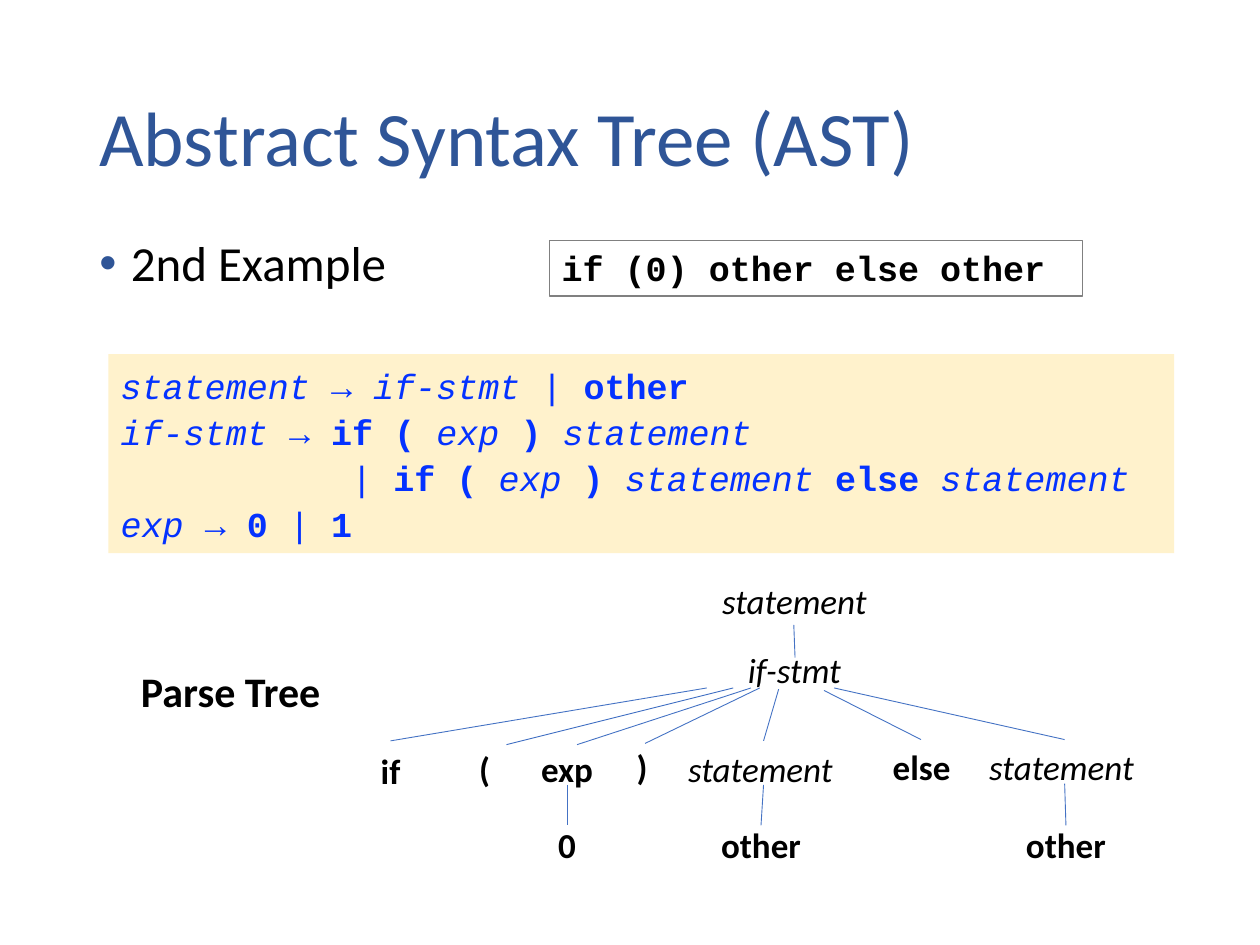
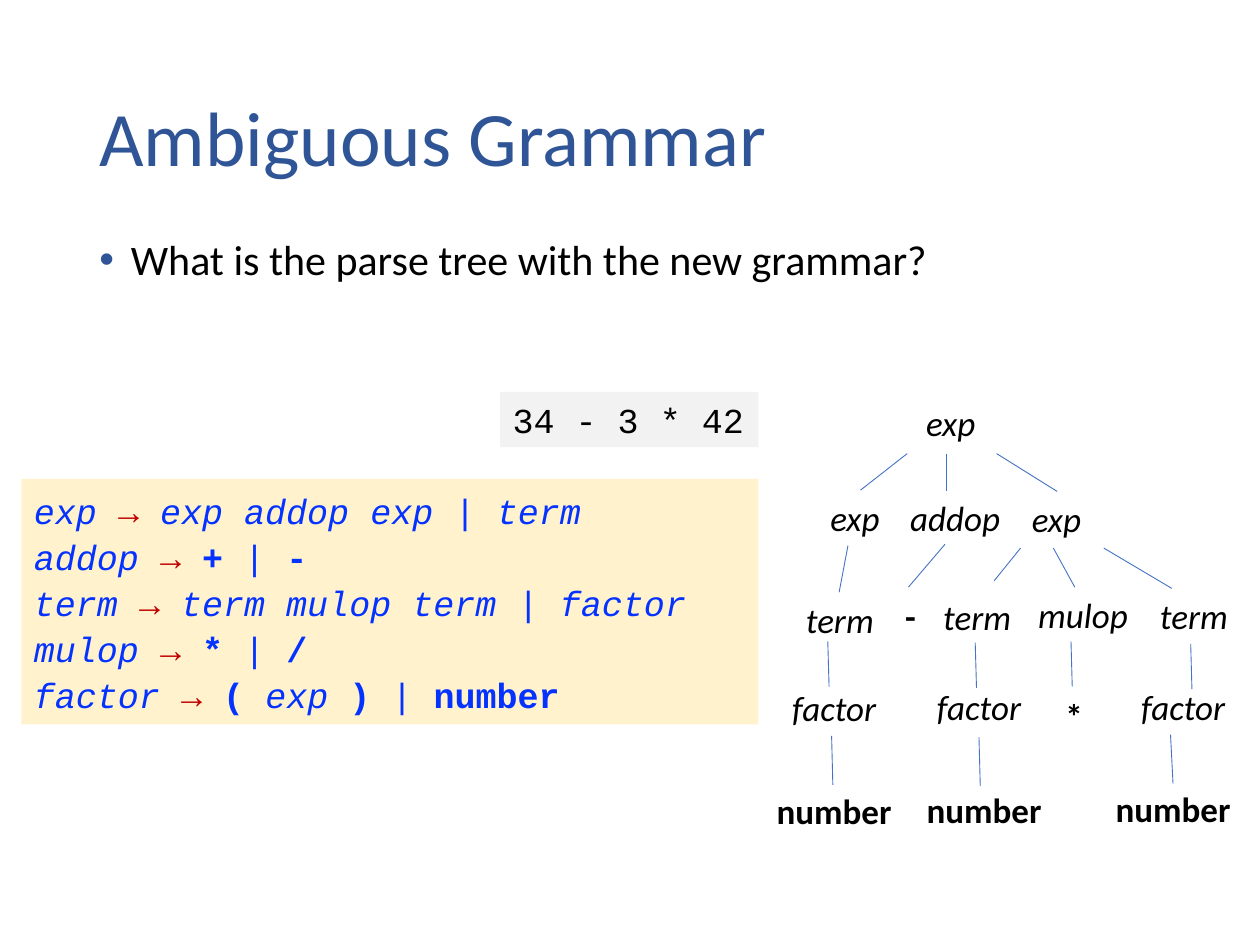
from lxml.etree import SubElement as Sub
from pptx import Presentation
from pptx.dml.color import RGBColor
from pptx.enum.shapes import MSO_CONNECTOR as Link, MSO_SHAPE as Kind
from pptx.enum.text import MSO_ANCHOR as Anchor, PP_ALIGN as Align
from pptx.oxml.ns import qn
from pptx.util import Inches, Pt

NAVY, BLUE, INK, RED = "2F5597", "0432FF", "000000", "C00000"
CREAM, PALE, GREY, EDGE = "FFF2CC", "F2F2F2", "808080", "4472C4"
SANS, MONO = "Calibri", "Courier New"
RULES = {"statement", "if-stmt", "exp", "addop", "term", "mulop", "factor"}


def paint(code):
    return RGBColor.from_string(code)


def style(run, size, color=INK, face=SANS, bold=False, slant=False):
    font = run.font
    font.size, font.name = Pt(size), face
    font.bold, font.italic = bold, slant
    font.color.rgb = paint(color)


def label(slide, spot, text, size, color=INK, bold=False, slant=False, wrap=True):
    frame = slide.shapes.add_textbox(*map(Inches, spot)).text_frame
    frame.word_wrap = wrap
    frame.text = text
    para = frame.paragraphs[0]
    style(para.runs[0], size, color, SANS, bold, slant)
    return frame, para


def title(slide, text):
    frame, para = label(slide, (0.69, 0.4, 8.62, 1.45), text, 44, NAVY)
    frame.vertical_anchor = Anchor.MIDDLE
    para.line_spacing = 0.9


def bullet(slide, spot, text, size):
    para = label(slide, spot, text, size)[1]
    para.line_spacing, para.space_before = 0.9, Pt(10)
    props = para._p.get_or_add_pPr()
    props.set("marL", str(Inches(0.25)))
    props.set("indent", str(Inches(-0.25)))
    Sub(Sub(props, qn("a:buClr")), qn("a:srgbClr"), val=NAVY)
    Sub(props, qn("a:buFont"), typeface="Arial")
    Sub(props, qn("a:buChar"), char="•")


def panel(slide, spot, fill=None, line=None):
    shape = slide.shapes.add_shape(Kind.RECTANGLE, *map(Inches, spot))
    shape.shadow.inherit = False
    if fill:
        shape.fill.solid()
        shape.fill.fore_color.rgb = paint(fill)
    else:
        shape.fill.background()
    if line:
        shape.line.color.rgb = paint(line)
        shape.line.width = Pt(0.75)
    else:
        shape.line.fill.background()
    frame = shape.text_frame
    frame.word_wrap = True
    frame.vertical_anchor = Anchor.TOP
    return frame


def sample(slide, spot, text, bold=False, **look):
    frame = panel(slide, spot, **look)
    frame.word_wrap = False
    frame.text = text
    para = frame.paragraphs[0]
    para.alignment = Align.LEFT
    style(para.runs[0], 20, INK, MONO, bold)


def grammar(slide, spot, lines, arrow):
    frame = panel(slide, spot, CREAM)
    for i, line in enumerate(lines):
        para = frame.add_paragraph() if i else frame.paragraphs[0]
        para.alignment, para.line_spacing = Align.LEFT, 1.1
        if line.startswith("|"):
            para._p.get_or_add_pPr().set("marL", str(Inches(1.83)))
        words = line.split()
        for j, word in enumerate(words):
            run = para.add_run()
            run.text = word if j == len(words) - 1 else word + " "
            slant = word in RULES
            bold = not slant and word not in ("→", "|")
            style(run, 20, arrow if word == "→" else BLUE, MONO, bold, slant)


def nodes(slide, high, items, bold):
    for text, x, y, wide in items:
        para = label(slide, (x, y, wide, high), text, 20, INK, bold, not bold, False)[1]
        para.alignment = Align.CENTER


def edges(slide, items):
    for ends in items:
        link = slide.shapes.add_connector(Link.STRAIGHT, *map(Inches, ends))
        link.line.color.rgb = paint(EDGE)
        link.line.width = Pt(0.5)
        Sub(link._element.spPr, qn("a:effectLst"))


def syntax(slide):
    title(slide, "Abstract Syntax Tree (AST)")
    bullet(slide, (0.69, 1.85, 8.63, 1.73), "2nd Example", 28)
    grammar(slide, (0.86, 2.81, 8.46, 1.58), [
        "statement → if-stmt | other",
        "if-stmt → if ( exp ) statement",
        "| if ( exp ) statement else statement",
        "exp → 0 | 1"], BLUE)
    sample(slide, (4.36, 1.91, 4.23, 0.44), "if (0) other else other", True, line=GREY)
    label(slide, (1.02, 5.23, 1.64, 0.5), "Parse Tree", 24, bold=True, wrap=False)
    edges(slide, [
        (6.3, 4.96, 6.31, 5.22), (5.61, 5.46, 3.1, 5.88),
        (5.82, 5.46, 4.02, 5.91), (5.96, 5.46, 4.58, 5.91),
        (6.03, 5.46, 5.12, 5.9), (6.18, 5.47, 6.06, 5.88),
        (6.54, 5.48, 7.31, 5.87), (6.62, 5.46, 8.45, 5.87),
        (4.5, 6.23, 4.5, 6.55), (6.06, 6.23, 6.04, 6.55),
        (8.45, 6.22, 8.46, 6.55)])
    nodes(slide, 0.29, [
        ("statement", 5.55, 4.55, 1.51), ("if-stmt", 5.55, 5.1, 1.51),
        ("statement", 5.34, 5.88, 1.39), ("statement", 7.73, 5.87, 1.39)], False)
    nodes(slide, 0.29, [
        ("if", 2.92, 5.9, 0.36), ("(", 3.7, 5.88, 0.29),
        ("exp", 4.19, 5.88, 0.62), (")", 4.95, 5.87, 0.29),
        ("else", 6.98, 5.87, 0.67), ("0", 4.33, 6.49, 0.34),
        ("other", 5.62, 6.49, 0.84), ("other", 8.04, 6.49, 0.84)], True)


def clash(slide):
    title(slide, "Ambiguous Grammar")
    bullet(slide, (0.69, 1.85, 8.82, 0.61),
           "What is the parse tree with the new grammar?", 24)
    grammar(slide, (0.17, 3.8, 5.85, 1.95), [
        "exp → exp addop exp | term",
        "addop → + | -",
        "term → term mulop term | factor",
        "mulop → * | /",
        "factor → ( exp ) | number"], RED)
    sample(slide, (3.97, 3.11, 2.05, 0.44), "34 - 3 * 42", fill=PALE)
    edges(slide, [
        (7.2, 3.6, 6.83, 3.89), (7.51, 3.6, 7.51, 3.9),
        (7.91, 3.6, 8.39, 3.9), (6.73, 4.33, 6.66, 4.7),
        (7.5, 4.32, 7.21, 4.66), (8.1, 4.35, 7.89, 4.61),
        (8.36, 4.35, 8.53, 4.66), (8.76, 4.35, 9.3, 4.67),
        (6.57, 5.09, 6.58, 5.45), (7.74, 5.1, 7.75, 5.46),
        (8.5, 5.09, 8.51, 5.45), (9.45, 5.11, 9.46, 5.47),
        (6.6, 5.84, 6.61, 6.23), (7.77, 5.85, 7.78, 6.24),
        (9.29, 5.83, 9.31, 6.22)])
    nodes(slide, 0.44, [
        ("exp", 7.25, 3.14, 0.59), ("exp", 6.49, 3.89, 0.59),
        ("addop", 7.12, 3.89, 0.92), ("exp", 8.09, 3.9, 0.59),
        ("term", 6.29, 4.7, 0.75), ("term", 7.38, 4.68, 0.75),
        ("mulop", 8.09, 4.66, 1.01), ("term", 9.1, 4.67, 0.75),
        ("factor", 6.18, 5.4, 0.88), ("factor", 7.33, 5.39, 0.88),
        ("factor", 8.95, 5.39, 0.88)], False)
    nodes(slide, 0.44, [
        ("-", 7.03, 4.67, 0.39), ("*", 8.33, 5.46, 0.39),
        ("number", 6.06, 6.22, 1.12), ("number", 7.25, 6.21, 1.12),
        ("number", 8.75, 6.2, 1.12)], True)


def main():
    deck = Presentation()
    deck.slide_width, deck.slide_height = Inches(10), Inches(7.5)
    for build in (syntax, clash):
        build(deck.slides.add_slide(deck.slide_layouts[6]))
    deck.save("out.pptx")


main()
